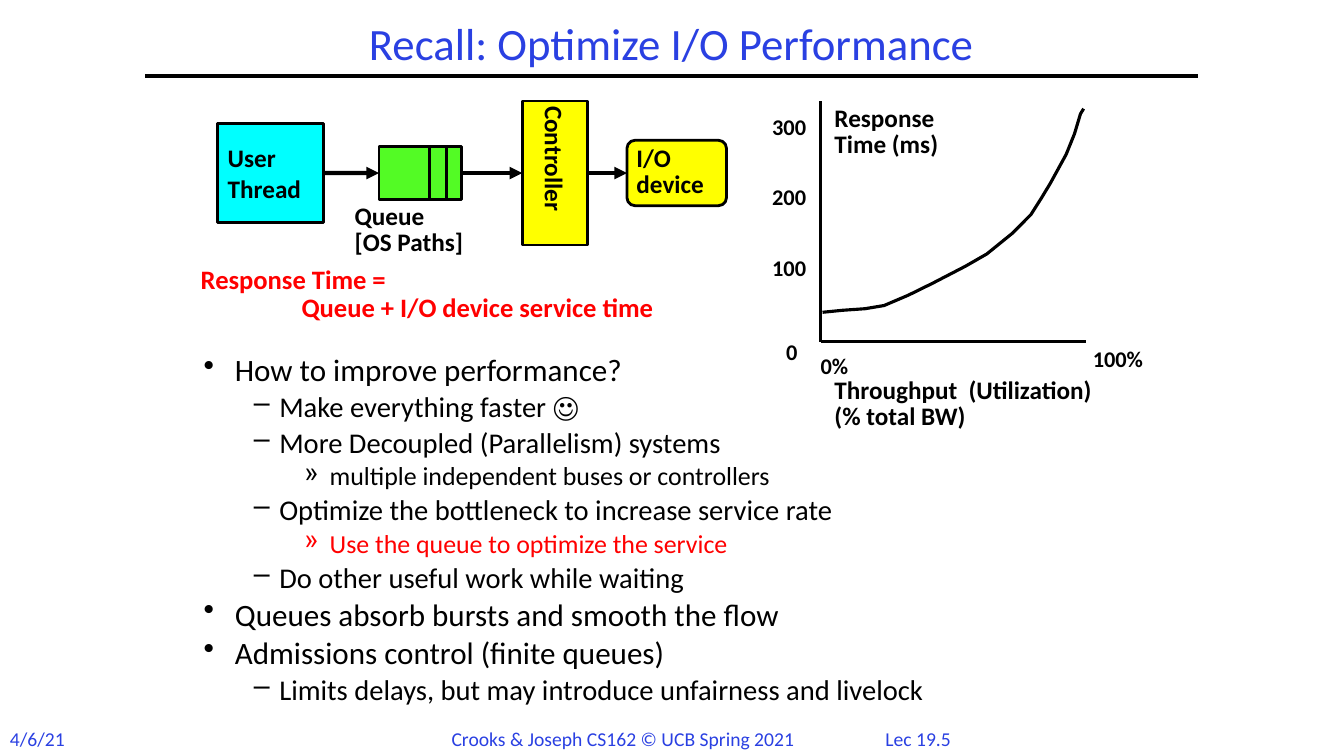
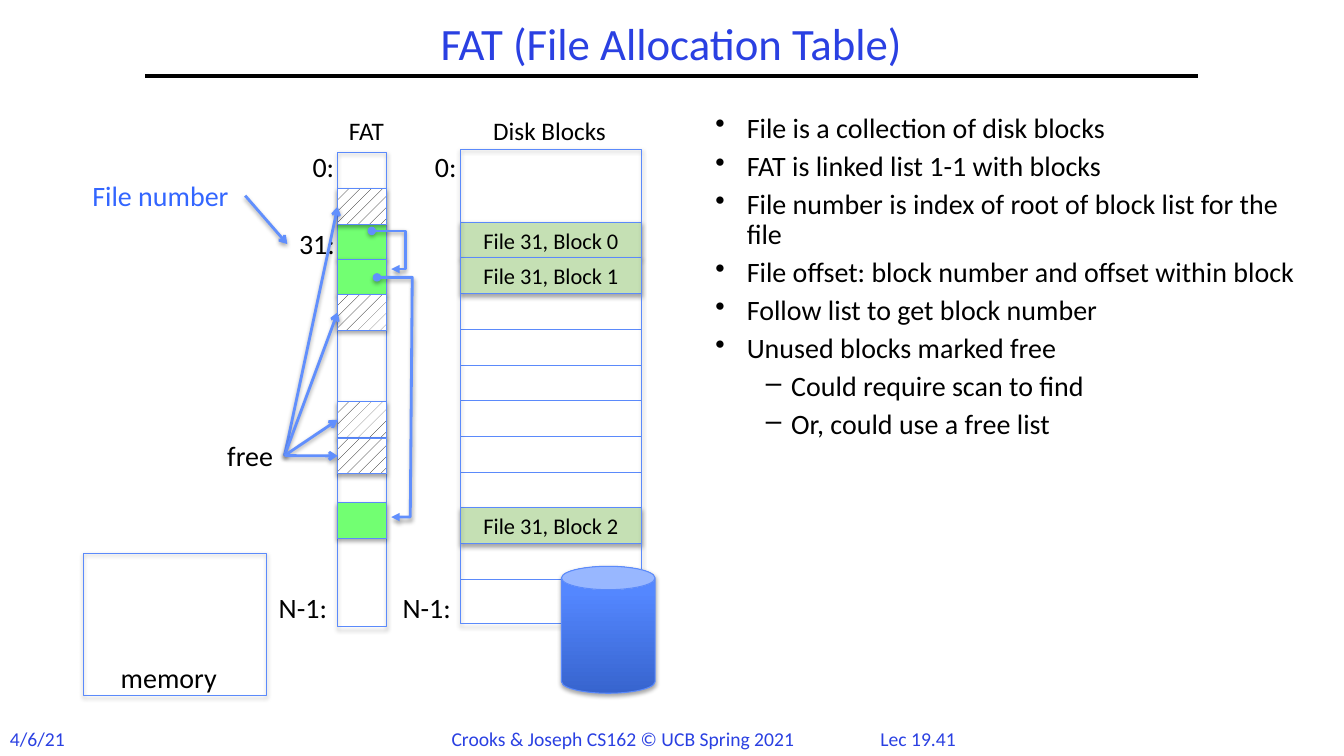
from dataclasses import dataclass

import pptx
import pptx.dml.color
import pptx.enum.dml
import pptx.enum.shapes
import pptx.enum.text
import pptx.oxml.ns
import pptx.util
from lxml import etree

Cm = pptx.util.Cm
Pt = pptx.util.Pt
SHAPES = pptx.enum.shapes.MSO_SHAPE
STRAIGHT = pptx.enum.shapes.MSO_CONNECTOR.STRAIGHT
ALIGN = pptx.enum.text.PP_ALIGN
ANCHOR = pptx.enum.text.MSO_ANCHOR
TOP, LEFT, BOTTOM, RIGHT = range(4)


@dataclass(frozen=True)
class Theme:
    font: str = "Calibri"
    title: str = "2A40E2"
    ink: str = "000000"
    paper: str = "FFFFFF"
    alert: str = "FF0000"
    cyan: str = "00FFFF"
    queue: str = "53FB25"
    yellow: str = "FFFF00"
    outline: str = "5B8AFB"
    pointer: str = "618FFD"
    link: str = "3366FF"
    fat_used: str = "72FF72"
    block_used: str = "C5E0B4"
    disk_dark: str = "3764CE"
    disk_light: str = "5487FF"
    title_size: float = 32
    label_size: float = 20
    formula_size: float = 19
    text_size: float = 18
    small_size: float = 16
    footer_size: float = 14


THEME = Theme()
NORMAL_INSETS = (0.25, 0.13)
TIGHT_INSETS = (0.18, 0.08)

# Content: lengths are centimetres
FOOTERS = [  # text, left, width, alignment
    ("4/6/21", 0, 2.03, ALIGN.LEFT),
    ("Crooks & Joseph CS162 © UCB Spring 2021", 11.13, 9.55, ALIGN.LEFT),
]
BULLETS = [("•", 0.79, 0.79), ("–", 1.91, 0.64), ("»", 3.18, 0.64)]  # mark, left, hang

PERFORMANCE_POINTS = [  # level, text, colour
    (0, "How to improve performance?", THEME.ink),
    (1, "Make everything faster ☺", THEME.ink),
    (1, "More Decoupled (Parallelism) systems", THEME.ink),
    (2, "multiple independent buses or controllers", THEME.ink),
    (1, "Optimize the bottleneck to increase service rate", THEME.ink),
    (2, "Use the queue to optimize the service", THEME.alert),
    (1, "Do other useful work while waiting", THEME.ink),
    (0, "Queues absorb bursts and smooth the flow", THEME.ink),
    (0, "Admissions control (finite queues)", THEME.ink),
    (1, "Limits delays, but may introduce unfairness and livelock", THEME.ink),
]
FLOW_MIDDLE = 4.36
FLOW_STAGES = [  # text, left, width, height, fill, kind, format
    ("User\nThread", 5.49, 2.67, 2.51, THEME.cyan, SHAPES.RECTANGLE, {}),
    ("", 9.55, 2.08, 1.35, THEME.queue, SHAPES.RECTANGLE, {}),
    ("Controller", 13.16, 1.65, 3.63, THEME.yellow, SHAPES.RECTANGLE, {"vertical": "eaVert"}),
    ("I/O\ndevice", 15.8, 2.51, 1.65, THEME.yellow, SHAPES.ROUNDED_RECTANGLE,
     {"spacing": 0.85, "insets": TIGHT_INSETS}),
]
QUEUE_DIVIDERS = [10.82, 11.25]
PLOT_CAPTIONS = [  # text, left, top, width, height
    ("Queue\n[OS Paths]", 8.76, 5.08, 3.45, 1.45),
    ("Response\nTime (ms)", 20.85, 2.62, 3.25, 1.45),
    ("Throughput  (Utilization)\n(% total BW)", 20.85, 9.47, 7.44, 1.45),
]
TIME_TICKS = ["300", "200", "100"]
PLOT_CORNERS = [("0", 19.63, 8.51, 0.66), ("0%", 20.5, 8.86, 1.07), ("100%", 27.36, 8.69, 1.68)]
RESPONSE_CURVE = [
    (20.73, 7.87), (21.23, 7.82), (21.8, 7.78), (22.28, 7.7), (22.89, 7.44), (23.5, 7.14),
    (24.33, 6.71), (24.87, 6.4), (25.5, 5.89), (25.98, 5.41), (26.24, 5), (26.47, 4.62),
    (26.87, 3.89), (27.08, 3.37), (27.23, 2.87), (27.31, 2.74),
]

FAT_POINTS = [
    (0, "File is a collection of disk blocks", THEME.ink),
    (0, "FAT is linked list 1-1 with blocks", THEME.ink),
    (0, "File number is index of root of block list for the file", THEME.ink),
    (0, "File offset: block number and offset within block", THEME.ink),
    (0, "Follow list to get block number", THEME.ink),
    (0, "Unused blocks marked free", THEME.ink),
    (1, "Could require scan to find", THEME.ink),
    (1, "Or, could use a free list", THEME.ink),
]
FAT_COLUMN = (8.51, 3.84, 1.24, 11.96)
DISK_COLUMN = (11.61, 3.76, 4.55, 11.96)
CELL_HEIGHT = 0.9
FIRST_BLOCK_TOP = 5.6
BLOCK_COUNT = 10
FILE_BLOCKS = {0: "File 31, Block 0", 1: "File 31, Block 1", 8: "File 31, Block 2"}
USED_ENTRIES = [5.64, 6.53, 12.67]
FREE_ENTRIES = [4.76, 7.42, 10.13, 11.04]
CHAIN_LINKS = [
    [(9.37, 5.82), (10.21, 5.82), (10.21, 6.78), (9.86, 6.78)],
    [(9.5, 6.99), (10.39, 6.99), (10.34, 13.03), (9.86, 13.03)],
]
FAT_LABELS = [  # text, left, top, width, size, colour
    ("Disk Blocks", 11.68, 2.77, 4.34, THEME.text_size, THEME.ink),
    ("FAT", 8.41, 2.77, 1.65, THEME.text_size, THEME.ink),
    ("N-1:", 9.8, 14.76, 1.91, THEME.label_size, THEME.ink),
    ("0:", 10.64, 3.63, 1.19, THEME.label_size, THEME.ink),
    ("0:", 7.59, 3.63, 1.12, THEME.label_size, THEME.ink),
    ("N-1:", 6.71, 14.76, 1.85, THEME.label_size, THEME.ink),
    ("31:", 7.24, 5.59, 1.5, THEME.label_size, THEME.ink),
    ("File number", 1.91, 4.37, 4.27, THEME.label_size, THEME.link),
    ("memory", 2.72, 16.51, 3.07, THEME.label_size, THEME.ink),
    ("free", 5.44, 10.92, 1.73, THEME.label_size, THEME.ink),
]


def rgb(value):
    return pptx.dml.color.RGBColor.from_string(value)


def add_element(parent, tag, **attributes):
    element = etree.SubElement(parent, pptx.oxml.ns.qn(tag))
    for name, value in attributes.items():
        element.set(name, str(value))
    return element


def box(*lengths):
    return [Cm(length) for length in lengths]


# Text
def write_text(shape, text, size=THEME.text_size, colour=THEME.ink, bold=False,
               align=ALIGN.LEFT, anchor=ANCHOR.TOP, spacing=1.0, insets=NORMAL_INSETS,
               wrap=True, vertical=None):
    frame = shape.text_frame
    frame.word_wrap = wrap
    frame.vertical_anchor = anchor
    frame.margin_left = frame.margin_right = Cm(insets[0])
    frame.margin_top = frame.margin_bottom = Cm(insets[1])
    if vertical:
        frame._txBody.bodyPr.set("vert", vertical)
    frame.text = text
    for paragraph in frame.paragraphs:
        paragraph.alignment = align
        paragraph.line_spacing = spacing
        for run in paragraph.runs:
            run.font.name = THEME.font
            run.font.size = Pt(size)
            run.font.bold = bold
            run.font.color.rgb = rgb(colour)
    return shape


def add_label(slide, text, left, top, width, height, **text_format):
    return write_text(slide.shapes.add_textbox(*box(left, top, width, height)), text, **text_format)


def add_bullets(slide, points, position, sizes, spacing):
    body = add_label(slide, "\n".join(text for _, text, _ in points), *position, spacing=spacing)
    for index, (level, _, colour) in enumerate(points):
        paragraph = body.text_frame.paragraphs[index]
        mark, left, hang = BULLETS[level]
        properties = paragraph._p.get_or_add_pPr()
        properties.set("marL", str(Cm(left)))
        properties.set("indent", str(-Cm(hang)))
        add_element(properties, "a:buChar", char=mark)
        paragraph.level = level
        if index:
            paragraph.space_before = Pt(round(0.28 * sizes[level], 1))
        for run in paragraph.runs:
            run.font.size = Pt(sizes[level])
            run.font.color.rgb = rgb(colour)


# Shapes and lines
def style_line(shape, colour, width, head=None, tail=None, shadow=False):
    shape.line.color.rgb = rgb(colour)
    shape.line.width = Pt(width)
    outline = shape.line._get_or_add_ln()
    for tag, kind in (("a:headEnd", head), ("a:tailEnd", tail)):
        if kind:
            add_element(outline, tag, type=kind)
    effects = add_element(shape._element.spPr, "a:effectLst")
    if shadow:
        outer = add_element(effects, "a:outerShdw", blurRad=40000, dist=23000,
                            dir=5400000, rotWithShape=0)
        add_element(add_element(outer, "a:srgbClr", val=THEME.ink), "a:alpha", val=35000)
    return shape


def add_block(slide, position, fill=None, kind=SHAPES.RECTANGLE, outline=THEME.outline,
              width=0.75, shadow=True):
    shape = slide.shapes.add_shape(kind, *box(*position))
    if fill:
        shape.fill.solid()
        shape.fill.fore_color.rgb = rgb(fill)
    else:
        shape.fill.background()
    return style_line(shape, outline, width, shadow=shadow)


def add_line(slide, start=(0, 0), end=(0, 0), join=None, colour=THEME.ink, width=2, **line_format):
    connector = slide.shapes.add_connector(STRAIGHT, *box(*start, *end))
    if join:
        source, target = join
        connector.begin_connect(source, RIGHT)
        connector.end_connect(target, LEFT)
    return style_line(connector, colour, width, **line_format)


def add_path(slide, points, colour, width, **line_format):
    points = [tuple(box(*point)) for point in points]
    builder = slide.shapes.build_freeform(*points[0], scale=1.0)
    builder.add_line_segments(points[1:], close=False)
    shape = builder.convert_to_shape()
    shape.fill.background()
    return style_line(shape, colour, width, **line_format)


# Shared slide frame
def add_slide(presentation, title, number):
    slide = presentation.slides.add_slide(presentation.slide_layouts[5])
    heading = slide.shapes.title
    heading.left, heading.top, heading.width, heading.height = box(3.66, 0.43, 26.52, 1.47)
    write_text(heading, title, size=THEME.title_size, colour=THEME.title, align=ALIGN.CENTER,
               anchor=ANCHOR.MIDDLE, spacing=0.9)
    add_line(slide, (3.66, 1.91), (30.2, 1.91), width=3)
    for text, left, width, align in FOOTERS + [(number, 21.59, 3.1, ALIGN.CENTER)]:
        add_label(slide, text, left, 18.19, width, 0.86, size=THEME.footer_size,
                  colour=THEME.title, align=align, wrap=False)
    return slide


def build_performance(presentation):
    slide = add_slide(presentation, "Recall: Optimize I/O Performance", "Lec 19.5")
    add_bullets(slide, PERFORMANCE_POINTS, (4.88, 8.89, 24, 9.55), (22.2, 20.4, 18.5), 0.8)

    # Request flow
    stages = []
    for text, left, width, height, fill, kind, text_format in FLOW_STAGES:
        stage = add_block(slide, (left, FLOW_MIDDLE - height / 2, width, height), fill, kind,
                          THEME.ink, 2, shadow=False)
        if kind == SHAPES.ROUNDED_RECTANGLE:
            stage.adjustments[0] = 0.125
        if text:
            write_text(stage, text, bold=True, anchor=ANCHOR.MIDDLE, **text_format)
        stages.append(stage)
    for join in zip(stages, stages[1:]):
        add_line(slide, join=join, width=3, tail="triangle")
    half_queue = FLOW_STAGES[1][3] / 2
    for x in QUEUE_DIVIDERS:
        add_line(slide, (x, FLOW_MIDDLE - half_queue), (x, FLOW_MIDDLE + half_queue))
    formula = add_label(slide, "Response Time =\nQueue + I/O device service time",
                        4.88, 6.68, 16.94, 1.52, size=THEME.formula_size, colour=THEME.alert,
                        bold=True, spacing=0.85, insets=TIGHT_INSETS)
    formula.text_frame.paragraphs[1]._p.get_or_add_pPr().set("marL", str(Cm(2.54)))

    # Response time plot
    add_line(slide, (20.68, 8.61), (20.68, 2.54))
    add_line(slide, (20.68, 8.61), (27.36, 8.61))
    add_path(slide, RESPONSE_CURVE, THEME.ink, 2.25)
    for text, *position in PLOT_CAPTIONS:
        add_label(slide, text, *position, bold=True, spacing=0.85, insets=TIGHT_INSETS, wrap=False)
    ticks = [(text, 19.28, 2.84 + 1.78 * row, 1.3) for row, text in enumerate(TIME_TICKS)]
    for text, left, top, width in ticks + PLOT_CORNERS:
        add_label(slide, text, left, top, width, 0.76, size=THEME.small_size, bold=True,
                  spacing=0.9, insets=TIGHT_INSETS, wrap=False)


def build_fat(presentation):
    slide = add_slide(presentation, "FAT (File Allocation Table)", "Lec 19.41")
    add_bullets(slide, FAT_POINTS, (17.78, 2.74, 15.44, 12.09), (THEME.label_size,) * 2, 0.9)

    # Disk blocks and table entries
    disk_left, _, disk_width, _ = DISK_COLUMN
    for row in range(BLOCK_COUNT):
        text = FILE_BLOCKS.get(row)
        top = FIRST_BLOCK_TOP + row * CELL_HEIGHT
        block = add_block(slide, (disk_left, top, disk_width, CELL_HEIGHT),
                          THEME.block_used if text else None, shadow=bool(text))
        if text:
            write_text(block, text, size=THEME.small_size, align=ALIGN.CENTER,
                       anchor=ANCHOR.MIDDLE, insets=(0, 0))
    for column in (DISK_COLUMN, FAT_COLUMN, (2.11, 13.94, 4.6, 3.58)):
        add_block(slide, column)
    fat_left, _, fat_width, _ = FAT_COLUMN
    for top in USED_ENTRIES:
        add_block(slide, (fat_left, top, fat_width, CELL_HEIGHT), THEME.fat_used)
    free_entries = []
    for top in FREE_ENTRIES:
        entry = add_block(slide, (fat_left, top, fat_width, CELL_HEIGHT))
        entry.fill.patterned()
        entry.fill.pattern = pptx.enum.dml.MSO_PATTERN.PERCENT_10
        entry.fill.fore_color.rgb = rgb(THEME.ink)
        entry.fill.back_color.rgb = rgb(THEME.paper)
        free_entries.append(entry)

    # Labels and pointers
    labels = {}
    for text, left, top, width, size, colour in FAT_LABELS:
        labels[text] = add_label(slide, text, left, top, width, 1.12, size=size, colour=colour,
                                 align=ALIGN.CENTER, wrap=False)
    joins = [(labels["File number"], labels["31:"])]
    joins += [(labels["free"], entry) for entry in free_entries]
    for join in joins:
        add_line(slide, join=join, colour=THEME.pointer, tail="arrow", shadow=True)
    for points in CHAIN_LINKS:
        add_path(slide, points, THEME.pointer, 2, head="oval", tail="triangle", shadow=True)

    # Disk
    disk = add_block(slide, (14.15, 14.27, 2.36, 3.2), kind=SHAPES.CAN)
    disk.fill.gradient()
    disk.fill.gradient_angle = 90
    stops = ((0, THEME.disk_dark), (0.8, THEME.disk_light))
    for stop, (position, colour) in zip(disk.fill.gradient_stops, stops):
        stop.position = position
        stop.color.rgb = rgb(colour)


def main():
    presentation = pptx.Presentation()
    presentation.slide_width, presentation.slide_height = box(33.87, 19.05)
    build_performance(presentation)
    build_fat(presentation)
    presentation.save("out.pptx")


if __name__ == "__main__":
    main()
